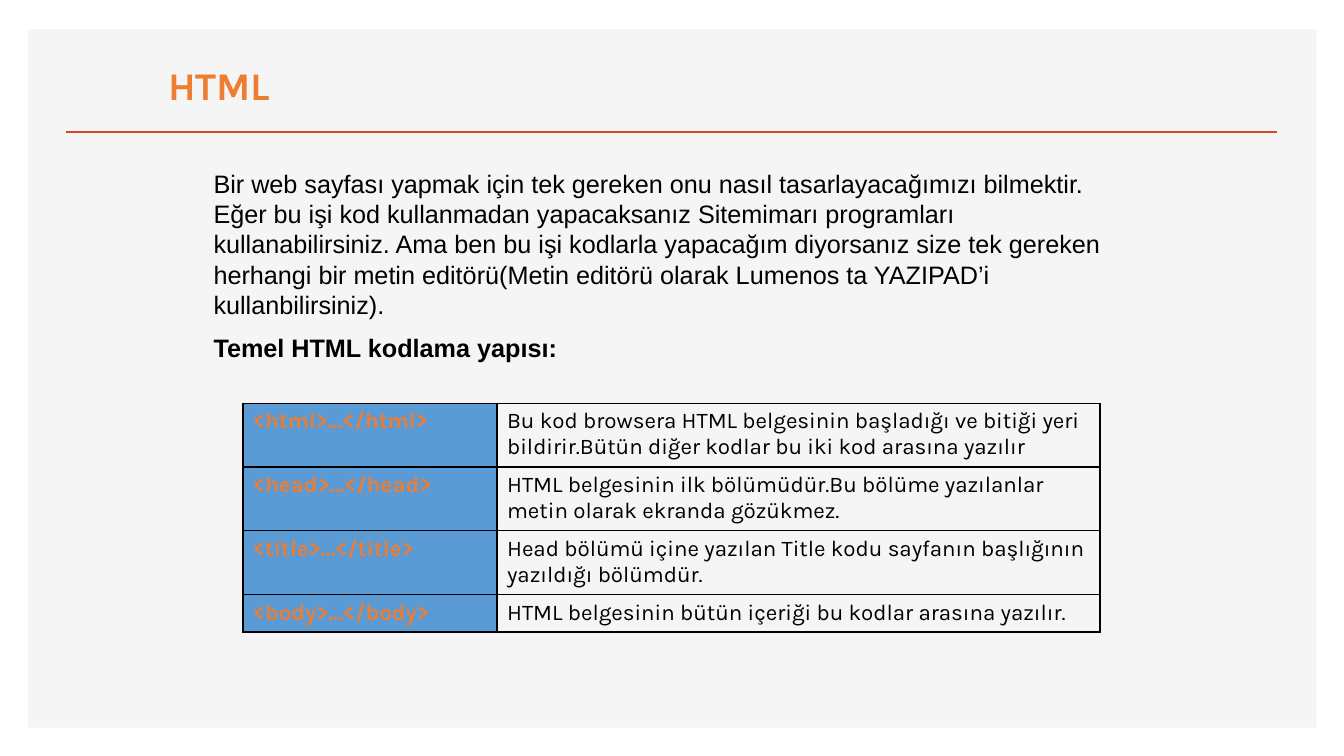
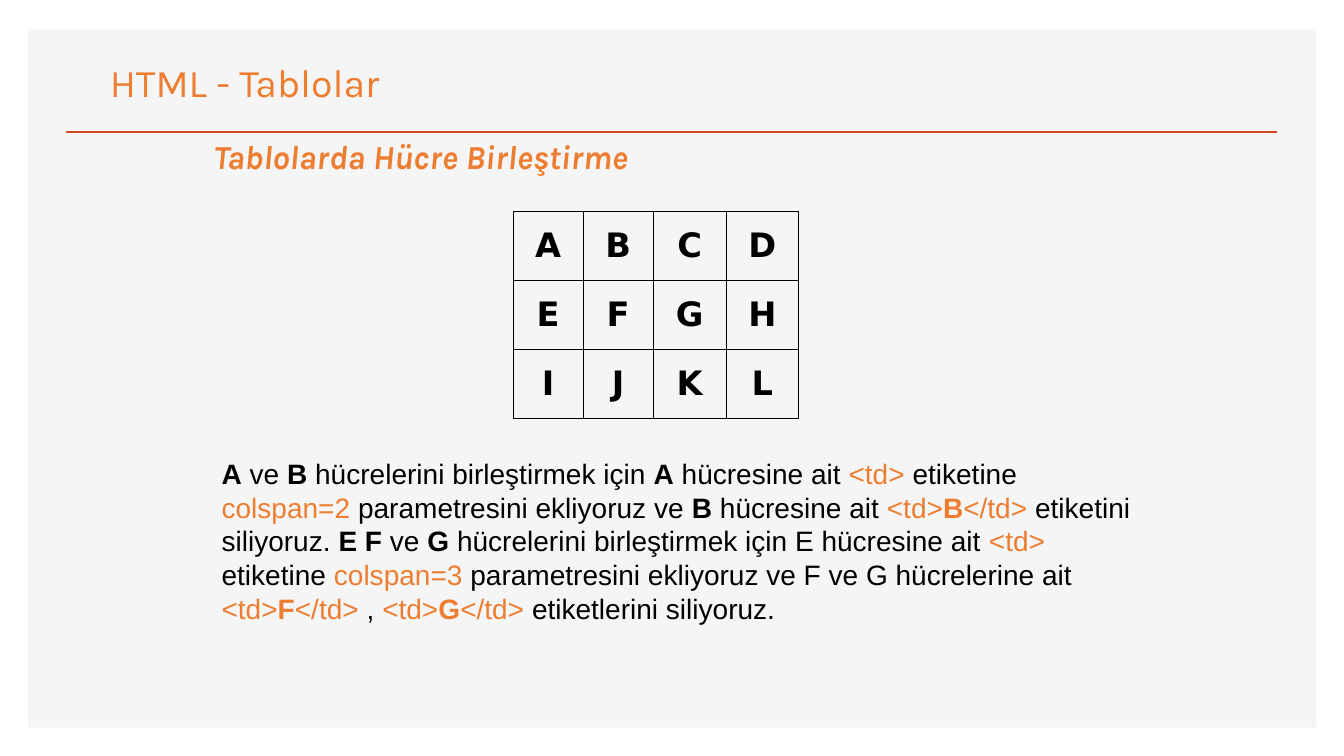
from lxml import etree
from pptx import Presentation, util as u
from pptx.dml.color import RGBColor
from pptx.enum import shapes, text
from pptx.oxml.ns import qn

ORANGE, RED, BLUE = "ED7D31", "D24726", "5B9BD5"
BLACK, PANEL = "000000", "F5F5F5"
rgb = RGBColor.from_string

prs = Presentation()
prs.slide_width, prs.slide_height = u.Inches(13.33), u.Inches(7.5)


def share(*percents):
    """Turn alternating horizontal and vertical percentages into slide lengths."""
    sizes = (prs.slide_width, prs.slide_height)
    return [u.Emu(round(n * sizes[i % 2] / 100)) for i, n in enumerate(percents)]


def write(tf, content, size, font="Karla", color=BLACK, bold=False, italic=False,
          align=None, pitch=None, before=0):
    """Fill a frame, one paragraph a line; * toggles bold and | toggles orange."""
    tf.word_wrap = True
    for i, line in enumerate(content.split("\n")):
        p = tf.add_paragraph() if i else tf.paragraphs[0]
        p.alignment = align
        if pitch:
            p.line_spacing = u.Pt(pitch * size)
        if i:
            p.space_before = u.Pt(before)
        strong, accent = bold, False
        for j, colored in enumerate(line.split("|")):
            accent = j % 2 == 1
            for k, piece in enumerate(colored.split("*")):
                if k:
                    strong = not strong
                if not piece:
                    continue
                r = p.add_run()
                r.text = piece
                f = r.font
                f.name, f.size, f.bold, f.italic = font, u.Pt(size), strong, italic
                f.color.rgb = rgb(ORANGE if accent else color)


# Shared frame and titles
titles = [
    ("HTML", True, (11.78, 7.47, 9.9, 7.6)),
    ("HTML - Tablolar", False, (7.43, 7.07, 22.13, 7.6)),
]
slides = []
for title, bold, place in titles:
    s = prs.slides.add_slide(prs.slide_layouts[6])
    panel = s.shapes.add_shape(shapes.MSO_SHAPE.RECTANGLE, *share(2.1, 3.87, 95.85, 92.4))
    panel.shadow.inherit = False
    panel.fill.solid()
    panel.fill.fore_color.rgb = rgb(PANEL)
    panel.line.fill.background()
    rule = s.shapes.add_connector(shapes.MSO_CONNECTOR.STRAIGHT,
                                  *share(4.95, 17.47, 95.05, 17.47))
    rule.line.color.rgb = rgb(RED)
    rule.line.width = u.Pt(2)
    etree.SubElement(rule._element.spPr, qn("a:effectLst"))
    write(s.shapes.add_textbox(*share(*place)).text_frame, title, 28,
          color=ORANGE, bold=bold)
    slides.append(s)
basics, merging = slides

# Body texts
tf = basics.shapes.add_textbox(*share(15.15, 21.6, 69.1, 27.6)).text_frame
write(tf, "Bir web sayfası yapmak için tek gereken onu nasıl tasarlayacağımızı bilmektir. "
      "Eğer bu işi kod kullanmadan yapacaksanız Sitemimarı programları "
      "kullanabilirsiniz. Ama ben bu işi kodlarla yapacağım diyorsanız size tek gereken "
      "herhangi bir metin editörü(Metin editörü olarak Lumenos ta YAZIPAD’i "
      "kullanbilirsiniz).\n*Temel HTML kodlama yapısı:*",
      18, font="Arial", pitch=1.2, before=9)

tf = merging.shapes.add_textbox(*share(15.15, 17.33, 37.5, 6.67)).text_frame
write(tf, "Tablolarda Hücre Birleştirme", 24, color=ORANGE, bold=True, italic=True)

tf = merging.shapes.add_textbox(*share(15.75, 59.73, 69.1, 23.6)).text_frame
tf.vertical_anchor = text.MSO_ANCHOR.MIDDLE
write(tf, "*A* ve *B* hücrelerini birleştirmek için *A* hücresine ait |<td>| etiketine "
      "|colspan=2| parametresini ekliyoruz ve *B* hücresine ait |<td>*B*</td>| etiketini "
      "siliyoruz. *E F* ve *G* hücrelerini birleştirmek için E hücresine ait |<td>| "
      "etiketine |colspan=3| parametresini ekliyoruz ve F ve G hücrelerine ait "
      "|<td>*F*</td>| , |<td>*G*</td>| etiketlerini siliyoruz.",
      20, font="Arial", pitch=1.2)

# Tables
tags = [
    ("|*<html>…</html>*|", "Bu kod browsera HTML belgesinin başladığı ve bitiği yeri "
     "bildirir.Bütün diğer kodlar bu iki kod arasına yazılır"),
    ("|*<head>…</head>*|", "HTML belgesinin ilk bölümüdür.Bu bölüme yazılanlar "
     "metin olarak ekranda gözükmez."),
    ("|*<title>…</title>*|", "Head bölümü içine yazılan Title kodu sayfanın başlığının "
     "yazıldığı bölümdür."),
    ("|*<body>…</body>*|", "HTML belgesinin bütün içeriği bu kodlar arasına yazılır."),
]
letters = ["ABCD", "EFGH", "IJKL"]
tables = [
    (basics, tags, (18.08, 53.33), (18.9, 44.86), (8.45, 8.45, 8.45, 4.93),
     BLUE, 1, text.MSO_ANCHOR.TOP, dict(size=16)),
    (merging, letters, (38.18, 28), (5.21, 5.21, 5.42, 5.42), (9.1,) * 3,
     None, 0.75, text.MSO_ANCHOR.MIDDLE,
     dict(size=24, font="DejaVu Sans", bold=True, align=text.PP_ALIGN.CENTER)),
]
for s, rows, corner, widths, heights, first_fill, border, anchor, style in tables:
    place = share(*corner, sum(widths), sum(heights))
    table = s.shapes.add_table(len(rows), len(widths), *place).table
    table.first_row = table.horz_banding = False
    for column, width in zip(table.columns, widths):
        column.width = share(width)[0]
    for row, height in zip(table.rows, heights):
        row.height = share(0, height)[1]
    for i, values in enumerate(rows):
        for j, value in enumerate(values):
            cell = table.cell(i, j)
            cell.vertical_anchor = anchor
            write(cell.text_frame, value, **style)
            for side in ("lnL", "lnR", "lnT", "lnB"):
                ln = etree.SubElement(cell._tc.get_or_add_tcPr(), qn("a:" + side),
                                      w=str(u.Pt(border)))
                line_fill = etree.SubElement(ln, qn("a:solidFill"))
                etree.SubElement(line_fill, qn("a:srgbClr"), val=BLACK)
            if first_fill and j == 0:
                cell.fill.solid()
                cell.fill.fore_color.rgb = rgb(first_fill)
            else:
                cell.fill.background()

prs.save("out.pptx")
